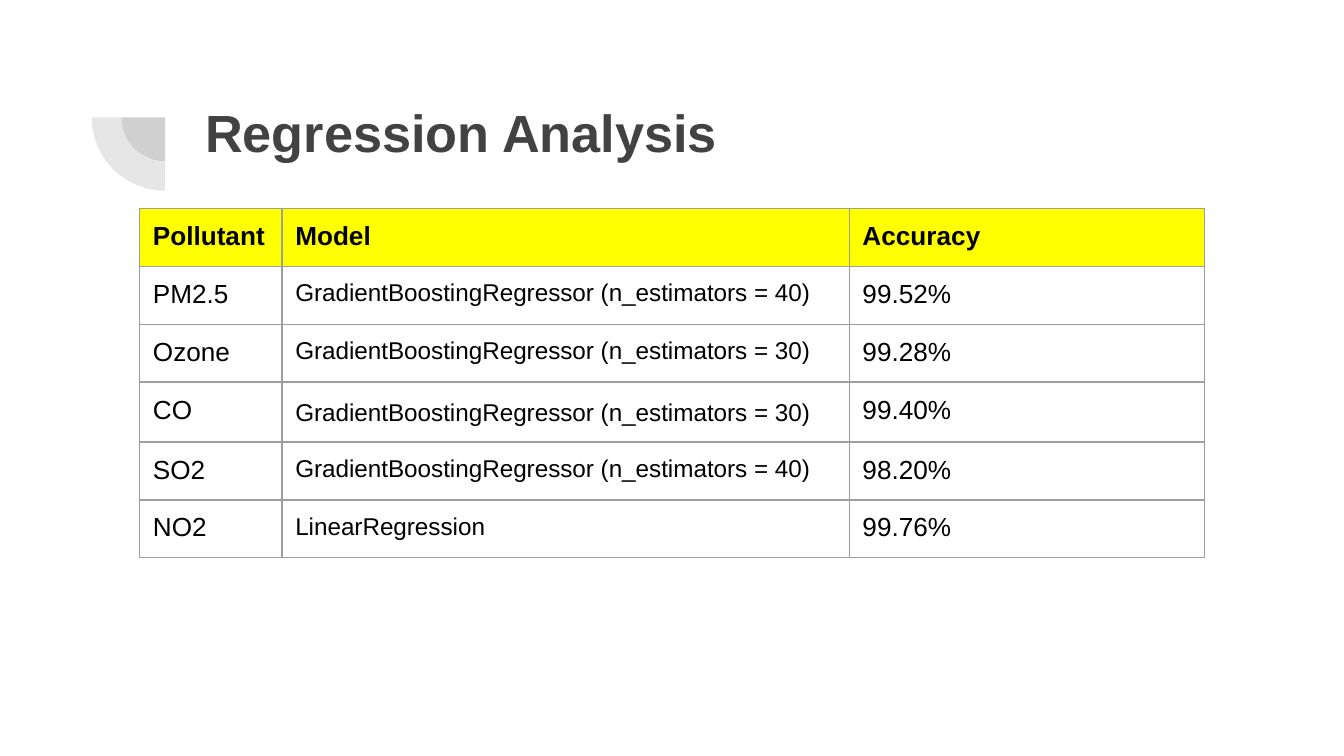
from lxml.etree import SubElement
from pptx import Presentation
from pptx.dml.color import RGBColor
from pptx.enum.shapes import MSO_SHAPE
from pptx.enum.text import MSO_ANCHOR
from pptx.oxml.ns import qn
from pptx.util import Cm, Pt

FONT = "Arial"
GRAY, BLACK, YELLOW, BORDER = "424242", "000000", "FFFF00", "9E9E9E"
INSET = Cm(0.25)
COLUMN_WIDTHS = (2.69, 10.72, 6.71)
ROW_HEIGHT = 1.07
BOOSTING = "GradientBoostingRegressor (n_estimators = {})"
ROWS = (
    ("Pollutant", "Model", "Accuracy"),
    ("PM2.5", BOOSTING.format(40), "99.52%"),
    ("Ozone", BOOSTING.format(30), "99.28%"),
    ("CO", BOOSTING.format(30), "99.40%"),
    ("SO2", BOOSTING.format(40), "98.20%"),
    ("NO2", "LinearRegression", "99.76%"),
)


def color(hex_string):
    return RGBColor.from_string(hex_string)


def style_text(para, size, hex_string, bold=False):
    for span in para.runs:
        span.font.name = FONT
        span.font.size = Pt(size)
        span.font.bold = bold
        span.font.color.rgb = color(hex_string)


def add_quarter_circles(page, center_x, center_y):
    # Two translucent quarter circles around one center
    for diameter in (1.65, 2.77):
        pie = page.shapes.add_shape(
            MSO_SHAPE.PIE,
            Cm(center_x - diameter / 2), Cm(center_y - diameter / 2),
            Cm(diameter), Cm(diameter))
        pie.adjustments[0], pie.adjustments[1] = 108, 162
        pie.rotation = 270
        pie.shadow.inherit = False
        pie.line.fill.background()
        pie.fill.solid()
        pie.fill.fore_color.rgb = color(GRAY)
        rgb = pie._element.spPr.find(qn("a:solidFill")).find(qn("a:srgbClr"))
        SubElement(rgb, qn("a:alpha"), val="13000")


def add_title(page, left, top, width, height):
    box = page.shapes.add_textbox(Cm(left), Cm(top), Cm(width), Cm(height))
    frame = box.text_frame
    frame.word_wrap = True
    frame.vertical_anchor = MSO_ANCHOR.TOP
    frame.margin_left = frame.margin_right = INSET
    frame.margin_top = frame.margin_bottom = INSET
    frame.text = "Regression Analysis"
    style_text(frame.paragraphs[0], 28, GRAY, bold=True)


def set_borders(cell):
    properties = cell._tc.get_or_add_tcPr()
    for side in ("lnL", "lnR", "lnT", "lnB"):
        line = SubElement(properties, qn(f"a:{side}"), w=str(Pt(0.75)))
        fill = SubElement(line, qn("a:solidFill"))
        SubElement(fill, qn("a:srgbClr"), val=BORDER)


def add_results_table(page, left, top):
    table = page.shapes.add_table(
        len(ROWS), len(COLUMN_WIDTHS), Cm(left), Cm(top),
        Cm(sum(COLUMN_WIDTHS)), Cm(ROW_HEIGHT * len(ROWS))).table
    table.first_row = table.horz_banding = False
    for column, width in zip(table.columns, COLUMN_WIDTHS):
        column.width = Cm(width)
    for row_index, texts in enumerate(ROWS):
        table.rows[row_index].height = Cm(ROW_HEIGHT)
        header = row_index == 0
        for column_index, text in enumerate(texts):
            cell = table.cell(row_index, column_index)
            cell.margin_left = cell.margin_right = INSET
            cell.margin_top = cell.margin_bottom = INSET
            set_borders(cell)
            if header:
                cell.fill.solid()
                cell.fill.fore_color.rgb = color(YELLOW)
            else:
                cell.fill.background()
            cell.text_frame.text = text
            # Model names are slightly smaller than the other text
            size = 13 if column_index == 1 and not header else 14
            style_text(cell.text_frame.paragraphs[0], size, BLACK, header)
    # The CO model has looser line spacing
    table.cell(3, 1).text_frame.paragraphs[0].line_spacing = 1.15


def main():
    deck = Presentation()
    deck.slide_width, deck.slide_height = Cm(25.4), Cm(14.29)
    page = deck.slides.add_slide(deck.slide_layouts[6])
    add_quarter_circles(page, 3.12, 2.22)
    add_title(page, 3.63, 1.65, 19.53, 2.77)
    add_results_table(page, 2.64, 3.94)
    deck.save("out.pptx")


if __name__ == "__main__":
    main()
